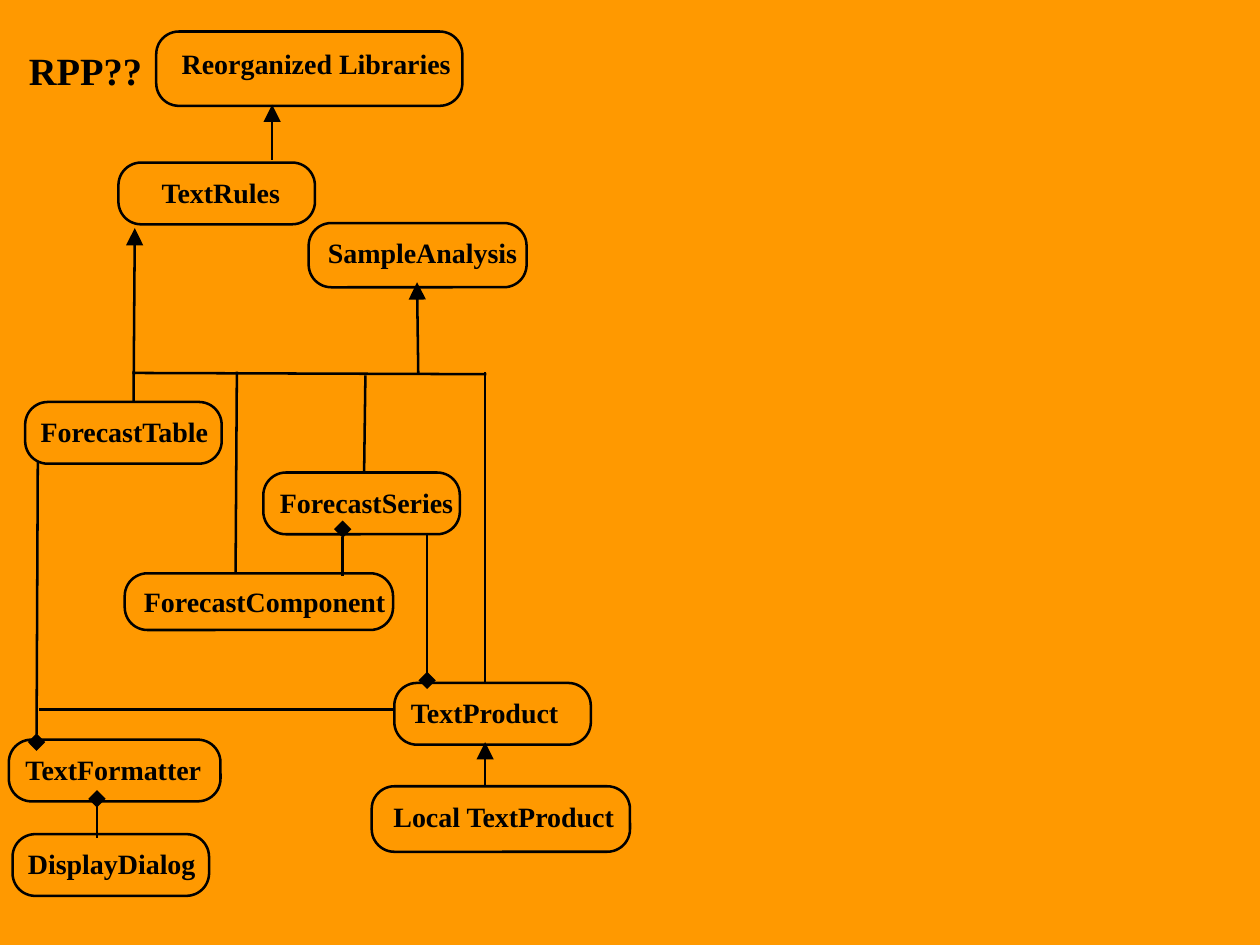
import pptx
import pptx.dml.color
import pptx.enum.shapes
import pptx.enum.text
import pptx.util
from lxml import etree

# Content: lengths are in inches on a 10 x 7.5 slide
SLIDE_SIZE = (10, 7.5)
FONT = "Times New Roman"
BLACK, ORANGE = "000000", "FF9900"
LINE_WIDTH = 1.45
CORNER = 0.18
TEXT_INSET = 0.05  # room that rounded corners take from the text area

TITLE = ("RPP??", 0.23, 0.37, 0.9, 0.37)

STANDARD = (1.56, 0.49)
# Class name, left, top, (width, height), label offset (right, down)
CLASSES = [
    ("TextRules", 0.94, 1.29, STANDARD, (0.34, 0.1)),
    ("SampleAnalysis", 2.45, 1.77, (1.73, 0.51), (0.15, 0.1)),
    ("Local TextProduct", 2.95, 6.24, (2.05, 0.52), (0.17, 0.1)),
    ("TextProduct", 3.13, 5.42, STANDARD, (0.13, 0.1)),
    ("TextFormatter", 0.07, 5.87, (1.68, 0.49), (0.13, 0.1)),
    ("ForecastTable", 0.2, 3.19, STANDARD, (0.12, 0.1)),
    ("ForecastSeries", 2.09, 3.75, STANDARD, (0.13, 0.1)),
    ("ForecastComponent", 0.99, 4.55, (2.13, 0.45), (0.15, 0.09)),
    ("DisplayDialog", 0.1, 6.62, STANDARD, (0.12, 0.1)),
    ("Reorganized Libraries", 1.24, 0.25, (2.43, 0.59), (0.2, 0.12)),
]

# Start, end; grouped by the head at the end of the line
LINKS = {
    "triangle": [  # inheritance
        ((1.06, 3.19), (1.07, 1.81)),
        ((3.32, 2.97), (3.31, 2.24)),
        ((3.85, 6.23), (3.85, 5.89)),
        ((2.16, 1.27), (2.16, 0.83)),
    ],
    "diamond": [  # composition
        ((0.3, 3.66), (0.29, 5.89)),
        ((3.39, 4.23), (3.39, 5.4)),
        ((2.72, 4.57), (2.72, 4.2)),
        ((0.77, 6.65), (0.77, 6.34)),
    ],
    None: [  # shared bar and its branches
        ((1.05, 2.96), (3.86, 2.97)),
        ((2.89, 3.75), (2.9, 2.98)),
        ((1.87, 4.54), (1.88, 2.95)),
        ((3.85, 5.41), (3.85, 2.95)),
        ((0.31, 5.63), (3.12, 5.63)),
    ],
}


def color(hex_value):
    return pptx.dml.color.RGBColor.from_string(hex_value)


def inches(*values):
    return [pptx.util.Inches(value) for value in values]


def set_line(line):
    line.color.rgb = color(BLACK)
    line.width = pptx.util.Pt(LINE_WIDTH)


def set_text(shape, text, size, margins, wrap):
    frame = shape.text_frame
    frame.text = text
    frame.auto_size = pptx.enum.text.MSO_AUTO_SIZE.NONE
    frame.word_wrap = wrap
    frame.vertical_anchor = pptx.enum.text.MSO_ANCHOR.TOP
    (frame.margin_left, frame.margin_top,
     frame.margin_right, frame.margin_bottom) = inches(*margins)
    para = frame.paragraphs[0]
    para.alignment = pptx.enum.text.PP_ALIGN.LEFT
    para.line_spacing = 1.0
    para.space_before = pptx.util.Pt(0)
    para.font.name = FONT
    para.font.size = pptx.util.Pt(size)
    para.font.bold = True
    para.font.color.rgb = color(BLACK)


def add_class(slide, name, left, top, size, offset):
    box = slide.shapes.add_shape(
        pptx.enum.shapes.MSO_SHAPE.ROUNDED_RECTANGLE, *inches(left, top, *size))
    box.adjustments[0] = CORNER / min(size)
    box.shadow.inherit = False
    box.fill.background()
    set_line(box.line)
    right, down = offset
    set_text(box, name, 16, (right - TEXT_INSET, down - TEXT_INSET, 0, 0), True)


def add_link(slide, start, end, head):
    link = slide.shapes.add_connector(
        pptx.enum.shapes.MSO_CONNECTOR.STRAIGHT, *inches(*start, *end))
    set_line(link.line)
    properties = link._element.spPr
    namespace = "{http://schemas.openxmlformats.org/drawingml/2006/main}"
    if head:
        etree.SubElement(properties.find(namespace + "ln"),
                         namespace + "tailEnd", type=head, w="lg", len="lg")
    etree.SubElement(properties, namespace + "effectLst")


def main():
    deck = pptx.Presentation()
    deck.slide_width, deck.slide_height = inches(*SLIDE_SIZE)
    slide = deck.slides.add_slide(deck.slide_layouts[5])
    slide.background.fill.solid()
    slide.background.fill.fore_color.rgb = color(ORANGE)

    # Title
    text, *place = TITLE
    title = slide.shapes.title
    title.left, title.top, title.width, title.height = inches(*place)
    set_text(title, text, 22, (0, 0, 0, 0), False)

    # Class boxes, then the links on top of them
    for item in CLASSES:
        add_class(slide, *item)
    for head, links in LINKS.items():
        for start, end in links:
            add_link(slide, start, end, head)

    deck.save("out.pptx")


if __name__ == "__main__":
    main()
